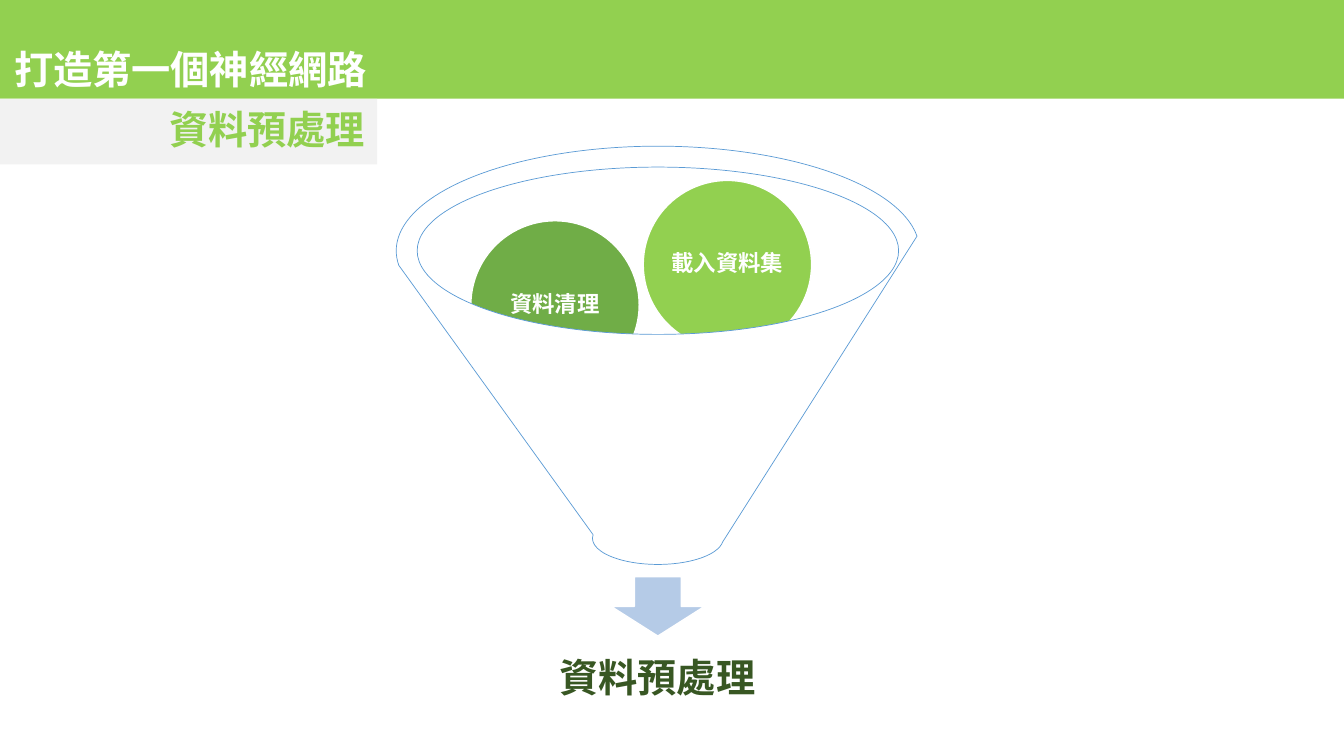
from dataclasses import dataclass

from lxml import etree
from pptx import Presentation
from pptx.dml.color import RGBColor
from pptx.enum.shapes import MSO_SHAPE
from pptx.enum.text import MSO_ANCHOR, PP_ALIGN
from pptx.oxml.ns import qn
from pptx.util import Inches, Pt

RECT, OVAL = MSO_SHAPE.RECTANGLE, MSO_SHAPE.OVAL
ARROW, FUNNEL = MSO_SHAPE.DOWN_ARROW, MSO_SHAPE.FUNNEL
LEFT, CENTER, RIGHT = PP_ALIGN.LEFT, PP_ALIGN.CENTER, PP_ALIGN.RIGHT
MIDDLE = MSO_ANCHOR.MIDDLE

FONT = "Noto Sans CJK SC"
COLORS = {
    "lime": "92D050",
    "green": "70AD47",
    "dark": "385723",
    "gray": "F2F2F2",
    "white": "FFFFFF",
    "arrow": "B5CBE7",
    "outline": "5B9BD5",
}
BALL = 1.67


@dataclass
class Label:
    text: str
    size: int
    color: str
    align: PP_ALIGN = CENTER
    inset: float = 0.12
    spacing: float = 0.9


@dataclass
class Part:
    kind: MSO_SHAPE | None  # None makes a plain text box
    box: tuple[float, float, float, float]
    fill: str | None = None
    line: str | None = None
    line_width: float = 1
    label: Label | None = None


def color(name: str) -> RGBColor:
    return RGBColor.from_string(COLORS[name])


def write_label(sp, label: Label) -> None:
    tf = sp.text_frame
    tf.text = label.text
    tf.word_wrap = True
    tf.vertical_anchor = MIDDLE
    tf.margin_left = tf.margin_right = Inches(label.inset)
    tf.margin_top = tf.margin_bottom = Inches(label.inset)
    p = tf.paragraphs[0]
    p.alignment = label.align
    p.line_spacing = label.spacing
    r = p.runs[0]
    r.font.name = FONT
    r.font.size = Pt(label.size)
    r.font.bold = True
    r.font.color.rgb = color(label.color)
    # East Asian typeface
    etree.SubElement(r.font._element, qn("a:ea"), typeface=FONT)


def draw(shapes, part: Part) -> None:
    box = [Inches(v) for v in part.box]
    if part.kind is None:
        sp = shapes.add_textbox(*box)
    else:
        sp = shapes.add_shape(part.kind, *box)
        sp.shadow.inherit = False
        sp.fill.solid()
        sp.fill.fore_color.rgb = color(part.fill)
        if part.line:
            sp.line.color.rgb = color(part.line)
            sp.line.width = Pt(part.line_width)
        else:
            sp.line.fill.background()
    if part.label:
        write_label(sp, part.label)


def ball(left: float, top: float, fill: str, text: str) -> Part:
    return Part(OVAL, (left, top, BALL, BALL), fill, "white",
                label=Label(text, 16, "white", inset=0.02))


PARTS = [
    # Header band, section tab and title
    Part(RECT, (0, 0, 13.33, 0.98), "lime"),
    Part(RECT, (0, 0.98, 3.74, 0.65), "gray",
         label=Label("資料預處理", 28, "lime", RIGHT)),
    Part(None, (0, 0.24, 3.86, 0.88),
         label=Label("打造第一個神經網路", 28, "white", LEFT, 0.14, 1.0)),
    # Funnel output
    Part(ARROW, (6.06, 5.72, 0.93, 0.59), "arrow", "white"),
    Part(None, (4.3, 6.19, 4.44, 1.11),
         label=Label("資料預處理", 28, "dark", inset=0.14)),
    # Balls dropping into the funnel, which covers their lower edges
    ball(4.67, 2.19, "green", "資料清理"),
    ball(6.38, 1.79, "lime", "載入資料集"),
    Part(FUNNEL, (3.93, 1.45, 5.19, 4.15), "white", "outline", 0.5),
]


def main() -> None:
    prs = Presentation()
    prs.slide_width, prs.slide_height = Inches(13.33), Inches(7.5)
    s = prs.slides.add_slide(prs.slide_layouts[6])
    for part in PARTS:
        draw(s.shapes, part)
    prs.save("out.pptx")


if __name__ == "__main__":
    main()
